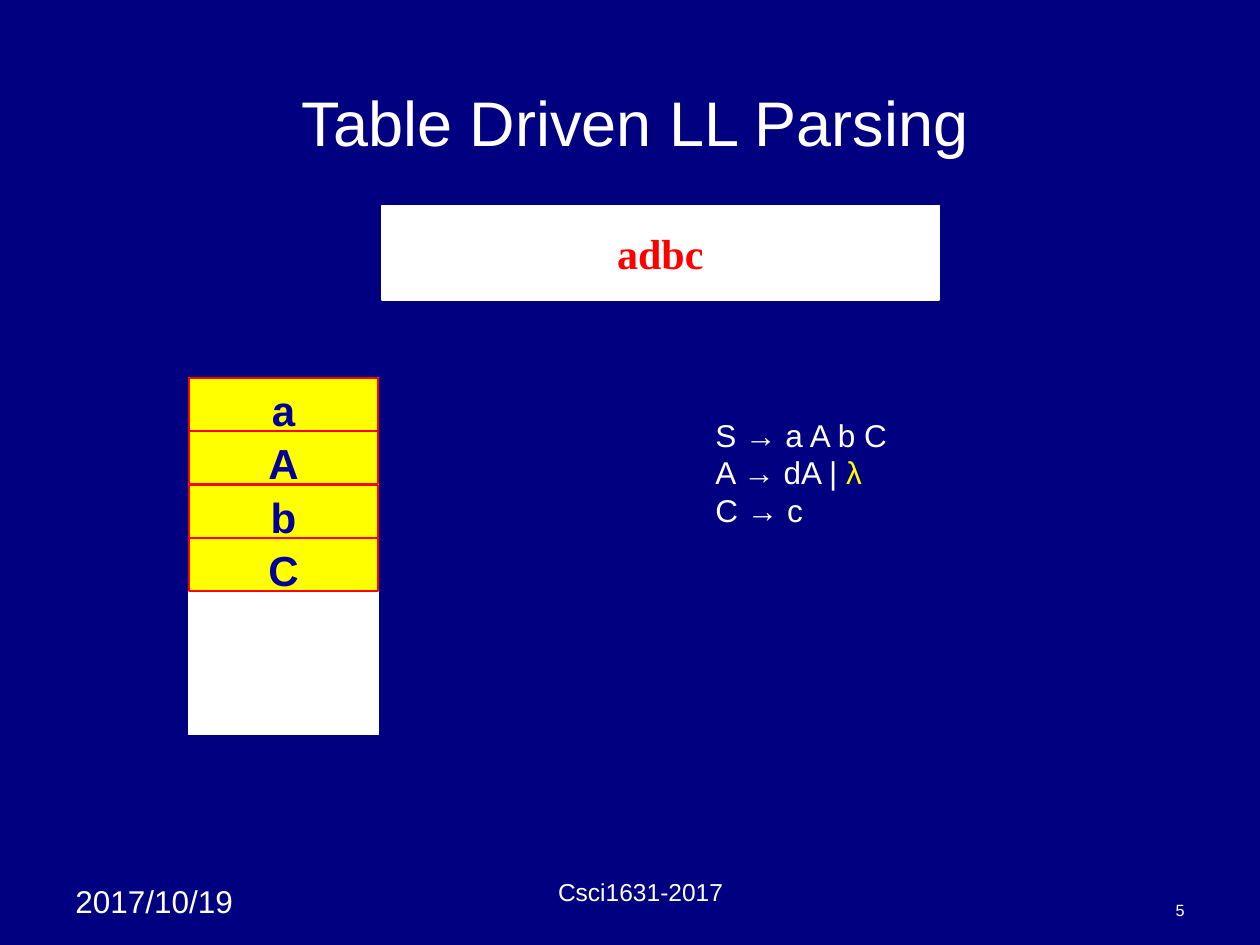
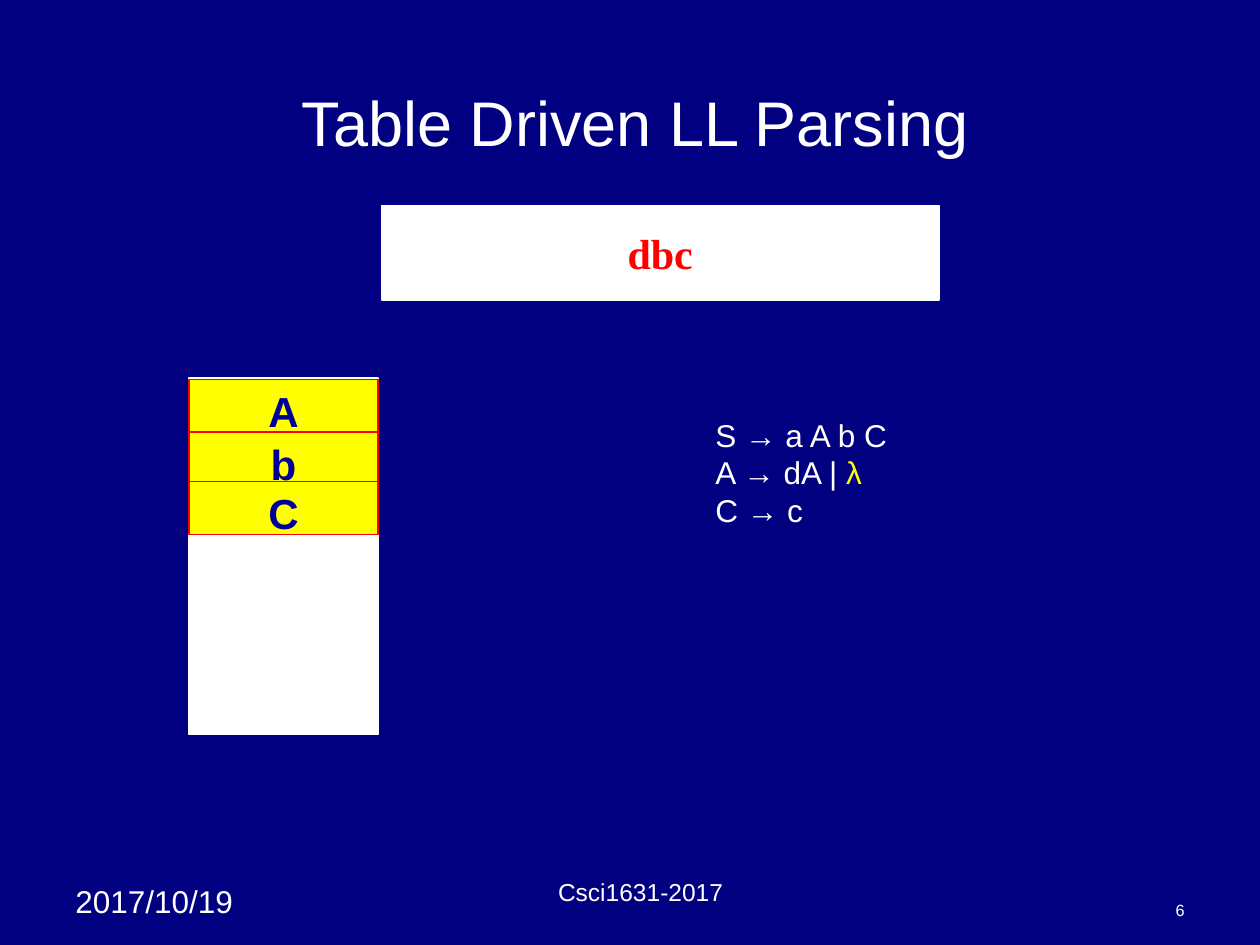
from pptx import Presentation
from pptx.dml.color import RGBColor
from pptx.enum.shapes import MSO_SHAPE
from pptx.enum.text import MSO_ANCHOR as ANCHOR, PP_ALIGN as ALIGN
from pptx.util import Inches, Pt

COLORS = {"navy": "000080", "white": "FFFFFF", "yellow": "FFFF00",
          "red": "FF0000", "blue": "000099"}
RGB = {name: RGBColor.from_string(value) for name, value in COLORS.items()}

# Text formats
TITLE = {"size": Pt(36), "name": "Arial", "color": "white"}
BODY = {**TITLE, "size": Pt(18)}
FOOTER = {**TITLE, "size": Pt(14)}
NUMBER = {**TITLE, "size": Pt(9.3)}
INPUT = {"size": Pt(24), "name": "Times New Roman", "bold": True, "color": "red"}
SYMBOL = {"size": Pt(24), "name": "Arial", "bold": True, "color": "blue"}

GRAMMAR = [[("S → a A b C", "white")],
           [("A → dA | ", "white"), ("λ", "yellow")],
           [("C → c", "white")]]

# Slide number, remaining input, stack symbols with their tops
STEPS = [
    (5, "adbc", [("a", 3), ("A", 3.42), ("b", 3.85), ("C", 4.27)]),
    (6, "dbc", [("A", 3.01), ("b", 3.43), ("C", 3.82)]),
]


def write(s, lines, fmt, align=ALIGN.LEFT, anchor=ANCHOR.TOP, wrap=True):
    """Fill a shape with lines, each a string or a list of (text, colour)."""
    tf = s.text_frame
    tf.word_wrap, tf.vertical_anchor = wrap, anchor
    for i, line in enumerate(lines):
        p = tf.paragraphs[0] if i == 0 else tf.add_paragraph()
        p.alignment = align
        runs = [(line, fmt["color"])] if isinstance(line, str) else line
        for text, color in runs:
            r = p.add_run()
            r.text = text
            for key, value in fmt.items():
                if key != "color":
                    setattr(r.font, key, value)
            r.font.color.rgb = RGB[color]


def add_box(slide, at, fill, line, width):
    s = slide.shapes.add_shape(MSO_SHAPE.RECTANGLE, *map(Inches, at))
    s.shadow.inherit = False
    s.fill.solid()
    s.fill.fore_color.rgb = RGB[fill]
    s.line.color.rgb = RGB[line]
    s.line.width = Pt(width)
    return s


prs = Presentation()
prs.slide_width, prs.slide_height = Inches(10), Inches(7.5)

for number, remaining, stack in STEPS:
    slide = prs.slides.add_slide(prs.slide_layouts[6])
    slide.background.fill.solid()
    slide.background.fill.fore_color.rgb = RGB["navy"]

    # Footers, title and grammar
    for at, lines, fmt, align, anchor, wrap in [
        ((0.5, 6.95, 1.58, 0.4), ["2017/10/19"], BODY, ALIGN.LEFT, ANCHOR.TOP, True),
        ((3.5, 6.97, 3.17, 0.27), ["Csci1631-2017"], FOOTER, ALIGN.CENTER, ANCHOR.BOTTOM, True),
        ((7.17, 7.08, 2.33, 0.27), [str(number)], NUMBER, ALIGN.RIGHT, ANCHOR.BOTTOM, True),
        ((0.58, 0.5, 8.92, 0.92), ["Table Driven LL Parsing"], TITLE, ALIGN.CENTER, ANCHOR.MIDDLE, True),
        ((5.58, 3.25, 1.59, 1), GRAMMAR, BODY, ALIGN.LEFT, ANCHOR.TOP, False),
    ]:
        s = slide.shapes.add_textbox(*map(Inches, at))
        write(s, lines, fmt, align, anchor, wrap)

    # Remaining input
    s = add_box(slide, (3.03, 1.63, 4.42, 0.75), "white", "white", 1)
    write(s, [remaining], INPUT, ALIGN.CENTER, ANCHOR.MIDDLE, False)

    # Parse stack
    add_box(slide, (1.5, 3, 1.5, 2.83), "white", "white", 1)
    for symbol, top in stack:
        s = add_box(slide, (1.5, top, 1.5, 0.42), "yellow", "red", 0.75)
        write(s, [symbol], SYMBOL, ALIGN.CENTER)

prs.save("out.pptx")
